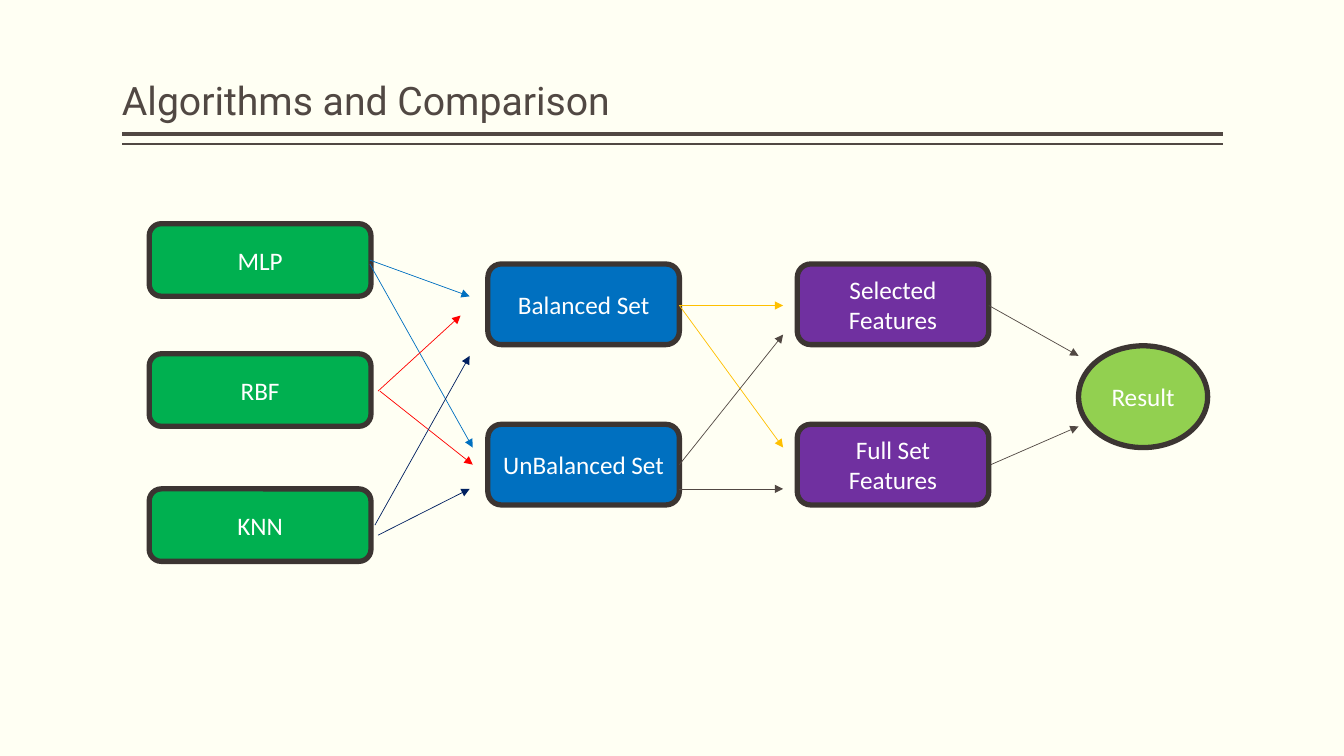
from dataclasses import dataclass

from lxml.etree import SubElement
from pptx import Presentation
from pptx.dml.color import RGBColor as Rgb
from pptx.enum.shapes import MSO_CONNECTOR as Link, MSO_SHAPE as Kind
from pptx.enum.text import MSO_ANCHOR as Anchor, PP_ALIGN as Align
from pptx.oxml.ns import qn
from pptx.util import Pt

HUES = {
    "paper": "FFFFF3", "ink": "514843", "edge": "3C3532", "white": "FFFFFF",
    "green": "00B050", "blue": "0070C0", "purple": "7030A0", "lime": "92D050",
    "red": "FF0000", "navy": "002060", "gold": "FFC000",
}


@dataclass
class Node:
    text: str
    left: float
    top: float
    width: float
    height: float
    hue: str
    kind: Kind = Kind.ROUNDED_RECTANGLE


@dataclass
class Line:
    x1: float
    y1: float
    x2: float
    y2: float
    hue: str = "ink"
    weight: float = 0.5
    arrow: bool = True


def tint(name: str) -> Rgb:
    return Rgb.from_string(HUES[name])


def style(para, font: str, size: float, hue: str) -> None:
    for run in para.runs:
        run.font.name = font
        run.font.size = Pt(size)
        run.font.color.rgb = tint(hue)


def draw_node(slide, node: Node) -> None:
    shape = slide.shapes.add_shape(
        node.kind, Pt(node.left), Pt(node.top), Pt(node.width), Pt(node.height))
    shape.shadow.inherit = False
    shape.fill.solid()
    shape.fill.fore_color.rgb = tint(node.hue)
    shape.line.color.rgb = tint("edge")
    shape.line.width = Pt(3.78)
    frame = shape.text_frame
    frame.word_wrap = True
    frame.vertical_anchor = Anchor.MIDDLE
    frame.text = node.text
    para = frame.paragraphs[0]
    para.alignment = Align.CENTER
    style(para, "Calibri", 18, "white")


def draw_line(slide, line: Line) -> None:
    link = slide.shapes.add_connector(
        Link.STRAIGHT, Pt(line.x1), Pt(line.y1), Pt(line.x2), Pt(line.y2))
    link.line.color.rgb = tint(line.hue)
    link.line.width = Pt(line.weight)
    if line.arrow:
        SubElement(link.line._get_or_add_ln(), qn("a:tailEnd"), type="triangle")
    SubElement(link._element.spPr, qn("a:effectLst"))


def draw_title(slide, text: str) -> None:
    box = slide.shapes.add_textbox(Pt(87.1), Pt(5.8), Pt(786.2), Pt(86.4))
    frame = box.text_frame
    frame.word_wrap = True
    frame.vertical_anchor = Anchor.BOTTOM
    frame.margin_left = frame.margin_right = 0
    frame.text = text
    para = frame.paragraphs[0]
    para.line_spacing = 0.9
    style(para, "Roboto", 28, "ink")


# Columns of the flow, left to right
ALGOS = [Node(text, 106.6, top, 158.4, 51.8, "green")
         for text, top in (("MLP", 159.8), ("RBF", 252.7), ("KNN", 349.2))]
PAIRS = [Node(text, left, top, 136.8, 57.6, hue)
         for left, hue, texts in (
             (348.5, "blue", ("Balanced Set", "UnBalanced Set")),
             (569.5, "purple", ("Selected Features", "Full Set Features")))
         for text, top in zip(texts, (188.6, 303.1))]
RESULT = Node("Result", 770.4, 247, 92.2, 72.7, "lime", Kind.OVAL)

# Double rule under the title
RULES = [Line(873.4, y, 87.1, y, weight=weight, arrow=False)
         for y, weight in ((95.8, 3), (103, 1))]

ARROWS = [
    # Algorithms to sets
    Line(264.2, 185.8, 335.5, 211.7, "blue"),
    Line(264.2, 188.6, 337.7, 319.7, "blue"),
    Line(270, 279.4, 329, 225.4, "red"),
    Line(271.4, 279.4, 337.7, 331.9, "red"),
    Line(267.8, 375.1, 335.5, 254.2, "navy"),
    Line(270, 382.3, 335.5, 349.2, "navy"),
    # Sets to features
    Line(485.3, 218.2, 559.4, 218.2, "gold"),
    Line(485.3, 218.2, 559.4, 319.7, "gold"),
    Line(485.3, 349.2, 559.4, 349.2),
    Line(485.3, 331.9, 559.4, 239),
    # Features to result
    Line(706.3, 218.2, 770.4, 254.2),
    Line(707.8, 331.9, 770.4, 304.6),
]


def main() -> None:
    deck = Presentation()
    deck.slide_width, deck.slide_height = Pt(960), Pt(540)
    slide = deck.slides.add_slide(deck.slide_layouts[6])
    slide.background.fill.solid()
    slide.background.fill.fore_color.rgb = tint("paper")

    for rule in RULES:
        draw_line(slide, rule)
    draw_title(slide, "Algorithms and Comparison")
    for node in [*ALGOS, *PAIRS, RESULT]:
        draw_node(slide, node)
    for arrow in ARROWS:
        draw_line(slide, arrow)

    deck.save("out.pptx")


if __name__ == "__main__":
    main()
